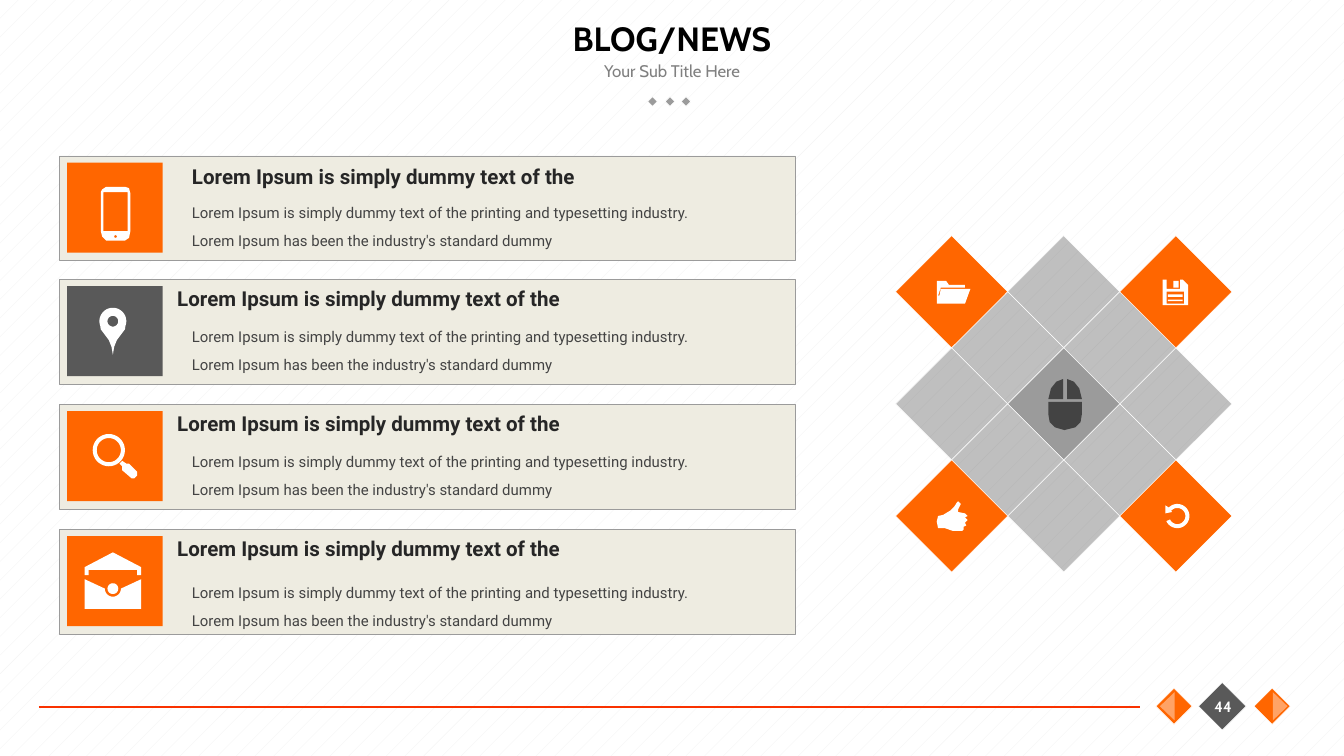
"""Build the blog and news slide with four cards and a diamond grid."""
from math import cos, radians, sin, sqrt
from typing import NamedTuple

from lxml import etree
from pptx import Presentation, util as u
from pptx.dml.color import RGBColor
from pptx.enum import dml, shapes, text
from pptx.oxml.ns import qn

ORANGE = RGBColor(0xFF, 0x66, 0x00)
PEACH = RGBColor(0xFF, 0xA3, 0x66)
RED = RGBColor(0xF9, 0x32, 0x00)
CREAM = RGBColor(0xEE, 0xEC, 0xE1)
WHITE = RGBColor(0xFF, 0xFF, 0xFF)
PALE = RGBColor(0xF2, 0xF2, 0xF2)
SILVER = RGBColor(0x9B, 0x9B, 0x9B)
GRAY = RGBColor(0x80, 0x80, 0x80)
SLATE = RGBColor(0x59, 0x59, 0x59)
STEEL = RGBColor(0x49, 0x49, 0x49)
DARK = RGBColor(0x43, 0x43, 0x43)
INK = RGBColor(0x26, 0x26, 0x26)
BLACK = RGBColor(0, 0, 0)
RECT = shapes.MSO_SHAPE.RECTANGLE
PEAK = shapes.MSO_SHAPE.FLOWCHART_EXTRACT
HEAD = "Lorem Ipsum is simply dummy text of the"
BODY = (HEAD + " printing and typesetting industry. "
        "Lorem Ipsum has been the industry's standard dummy")
Points = list[tuple[float, float]]


class Box(NamedTuple):
    left: float
    top: float
    width: float
    height: float


class Font(NamedTuple):
    name: str
    size: float
    color: RGBColor
    bold: bool = False


class Card(NamedTuple):
    top: float
    tone: RGBColor
    head_left: float
    head_top: float
    body_top: float


class Icon(NamedTuple):
    color: RGBColor
    loops: list[Points]


def arc(x: float, y: float, r: float, start: float = 0, end: float = 360) -> Points:
    turns = [radians(start + (end - start) * i / 36) for i in range(37)]
    return [(x + r * cos(t), y + r * sin(t)) for t in turns]


def block(left: float, top: float, right: float, low: float) -> Points:
    return [(left, top), (right, top), (right, low), (left, low)]


CARDS = [
    Card(1.16, ORANGE, 1.33, 1.17, 1.39),
    Card(2.08, SLATE, 1.22, 2.08, 2.31),
    Card(3.01, ORANGE, 1.22, 3.01, 3.24),
    Card(3.94, ORANGE, 1.22, 3.94, 4.22),
]

PHONE = Icon(WHITE, [
    [(0.97, 1.44), (0.96, 1.4), (0.93, 1.39), (0.79, 1.39), (0.76, 1.41), (0.75, 1.43),
     (0.75, 1.72), (0.76, 1.76), (0.79, 1.79), (0.93, 1.79), (0.96, 1.77), (0.97, 1.72)],
    block(0.77, 1.43, 0.95, 1.72), arc(0.86, 1.76, 0.01)])
PIN = Icon(WHITE, [
    arc(0.84, 2.39, 0.1, 160, 380) + [(0.93, 2.45), (0.87, 2.53), (0.85, 2.58), (0.84, 2.64),
                                      (0.83, 2.58), (0.81, 2.53), (0.75, 2.45)],
    arc(0.84, 2.39, 0.04)])
LENS = Icon(WHITE, [
    arc(0.81, 3.35, 0.12), arc(0.81, 3.35, 0.09),
    [(0.89, 3.45), (0.91, 3.43), (0.94, 3.45), (0.96, 3.45), (1.02, 3.51), (1.02, 3.54),
     (1, 3.56), (0.98, 3.56), (0.91, 3.5), (0.91, 3.47)]])
MAIL = Icon(WHITE, [
    [(0.84, 4.11), (0.63, 4.22), (0.63, 4.28), (0.66, 4.28), (0.66, 4.24), (1.02, 4.24),
     (1.02, 4.28), (1.05, 4.28), (1.05, 4.22)],
    [(0.63, 4.31), *arc(0.84, 4.38, 0.06, 180, 0), (1.05, 4.31), (1.05, 4.53), (0.63, 4.53)],
    arc(0.84, 4.38, 0.04)])
FOLDER = Icon(WHITE, [
    [(7.18, 2.15), (7, 2.15), (6.99, 2.2), (6.98, 2.2), (7, 2.14), (7.18, 2.14), (7.18, 2.12),
     (7.06, 2.12), (7.04, 2.09), (6.97, 2.09), (6.97, 2.26), (7.18, 2.26), (7.22, 2.15)]])
DISK = Icon(WHITE, [
    [(8.84, 2.12), (8.84, 2.27), (8.65, 2.27), (8.65, 2.08), (8.68, 2.08), (8.68, 2.15),
     (8.78, 2.15), (8.78, 2.08), (8.8, 2.08)],
    block(8.68, 2.17, 8.81, 2.26), block(8.73, 2.09, 8.77, 2.14),
    block(8.69, 2.19, 8.8, 2.21), block(8.69, 2.23, 8.8, 2.24)])
UNDO = Icon(WHITE, [
    arc(8.76, 3.84, 0.09, 155, -135) + [(8.67, 3.76), (8.67, 3.82), (8.72, 3.81), (8.71, 3.79)]
    + arc(8.76, 3.84, 0.06, -135, 155)])
THUMB = Icon(WHITE, [
    [(7.18, 3.85), (7.2, 3.84), (7.18, 3.82), (7.13, 3.81), (7.13, 3.79), (7.15, 3.75),
     (7.13, 3.73), (7.12, 3.74), (7.1, 3.77), (7.07, 3.8), (7.02, 3.83), (6.98, 3.84),
     (6.97, 3.88), (6.98, 3.93), (7.03, 3.93), (7.09, 3.95), (7.16, 3.95), (7.17, 3.94),
     (7.17, 3.92), (7.19, 3.91), (7.18, 3.89), (7.2, 3.87)]])
MOUSE = Icon(DARK, [
    [(7.8, 2.99), (8.05, 2.99), (8.05, 3.08), (8.04, 3.14), (8, 3.18), (7.92, 3.2),
     (7.85, 3.18), (7.81, 3.14), (7.8, 3.08)],
    [(7.94, 2.82), (7.99, 2.84), (8.03, 2.89), (8.05, 2.97), (7.94, 2.97)],
    [(7.91, 2.82), (7.86, 2.84), (7.82, 2.89), (7.8, 2.97), (7.91, 2.97)]])
ICONS = [PHONE, PIN, LENS, MAIL, FOLDER, DISK, UNDO, THUMB, MOUSE]


def paint(shape, fill: RGBColor, edge: RGBColor | None = None) -> None:
    shape.shadow.inherit = False
    shape.fill.solid()
    shape.fill.fore_color.rgb = fill
    if edge is None:
        shape.line.fill.background()
    else:
        shape.line.color.rgb = edge
        shape.line.width = u.Pt(0.25)


def draw(slide, kind, box: Box, fill: RGBColor, edge: RGBColor | None = None, turn: float = 0):
    shape = slide.shapes.add_shape(kind, *map(u.Inches, box))
    shape.rotation = turn
    paint(shape, fill, edge)
    return shape


def gem(slide, left: float, top: float, size: float, fill: RGBColor):
    return draw(slide, RECT, Box(left, top, size, size), fill, WHITE, 315)


def trace(slide, icon: Icon) -> None:
    loops = [[(u.Inches(x), u.Inches(y)) for x, y in loop] for loop in icon.loops]
    pen = slide.shapes.build_freeform(*loops[0][0])
    pen.add_line_segments(loops[0][1:])
    for loop in loops[1:]:
        pen.move_to(*loop[0])
        pen.add_line_segments(loop[1:])
    paint(pen.convert_to_shape(), icon.color)


def write(slide, words: str, box: Box, font: Font, center: bool = False):
    frame = slide.shapes.add_textbox(*map(u.Inches, box)).text_frame
    frame.word_wrap = True
    frame.text = words
    line = frame.paragraphs[0]
    if center:
        frame.vertical_anchor = text.MSO_ANCHOR.MIDDLE
        line.alignment = text.PP_ALIGN.CENTER
    style = line.runs[0].font
    style.name, style.bold = font.name, font.bold
    style.size = u.Pt(font.size)
    style.color.rgb = font.color
    return line


def frame_page(slide) -> None:
    back = slide.background.fill
    back.patterned()
    back.pattern = dml.MSO_PATTERN.PERCENT_5
    back.fore_color.rgb, back.back_color.rgb = PALE, WHITE
    for left in (4.83, 4.96, 5.08):
        gem(slide, left, 0.73, 0.05, SILVER)
    write(slide, "BLOG/NEWS", Box(0.75, 0, 8.5, 0.57), Font("Cabin", 18, BLACK, True), True)
    write(slide, "Your Sub Title Here", Box(3.75, 0.4, 2.5, 0.25), Font("Cabin", 9, GRAY), True)
    ends = map(u.Inches, (0.29, 5.26, 8.48, 5.26))
    rule = slide.shapes.add_connector(shapes.MSO_CONNECTOR.STRAIGHT, *ends)
    rule.line.color.rgb = RED
    rule.line.width = u.Pt(0.75)
    etree.SubElement(rule._element.spPr, qn("a:effectLst"))
    gem(slide, 8.97, 5.13, 0.25, SLATE)
    for left, tip, turn in ((9.37, 9.42, 90), (8.64, 8.58, 270)):
        gem(slide, left, 5.16, 0.19, ORANGE)
        draw(slide, PEAK, Box(tip, 5.2, 0.21, 0.11), PEACH, turn=turn)
    write(slide, "44", Box(8.89, 5.13, 0.42, 0.25), Font("Cabin", 8, WHITE, True), True)


def add_card(slide, card: Card) -> None:
    draw(slide, RECT, Box(0.44, card.top, 5.48, 0.78), CREAM, SILVER)
    draw(slide, RECT, Box(0.5, card.top + 0.05, 0.71, 0.67), card.tone)
    body = write(slide, BODY, Box(1.33, card.body_top, 4.16, 0.5), Font("Roboto", 8, DARK))
    body.line_spacing = u.Pt(15)
    head = Box(card.head_left, card.head_top, 3.14, 0.29)
    write(slide, HEAD, head, Font("Roboto", 11, INK, True))


def add_grid(slide) -> None:
    left, top, size = 7.62, 2.71, 0.59
    step = size / sqrt(2)
    for row in (-1, 0, 1):
        for col in (-1, 0, 1):
            hub = row == col == 0
            tile = gem(slide, left + step * (col - row), top + step * (col + row), size,
                       SILVER if hub else STEEL)
            if not hub:
                tone = tile._element.spPr.find(qn("a:solidFill"))[0]
                etree.SubElement(tone, qn("a:alpha"), val="35000")
    for across in (-2, 2):
        for down in (-2, 2):
            gem(slide, left + step * across, top + step * down, size, ORANGE)


def main() -> None:
    deck = Presentation()
    deck.slide_width, deck.slide_height = u.Inches(10), u.Inches(10 * 9 / 16)
    slide = deck.slides.add_slide(deck.slide_layouts[6])
    frame_page(slide)
    for card in CARDS:
        add_card(slide, card)
    add_grid(slide)
    for icon in ICONS:
        trace(slide, icon)
    deck.save("out.pptx")


if __name__ == "__main__":
    main()
